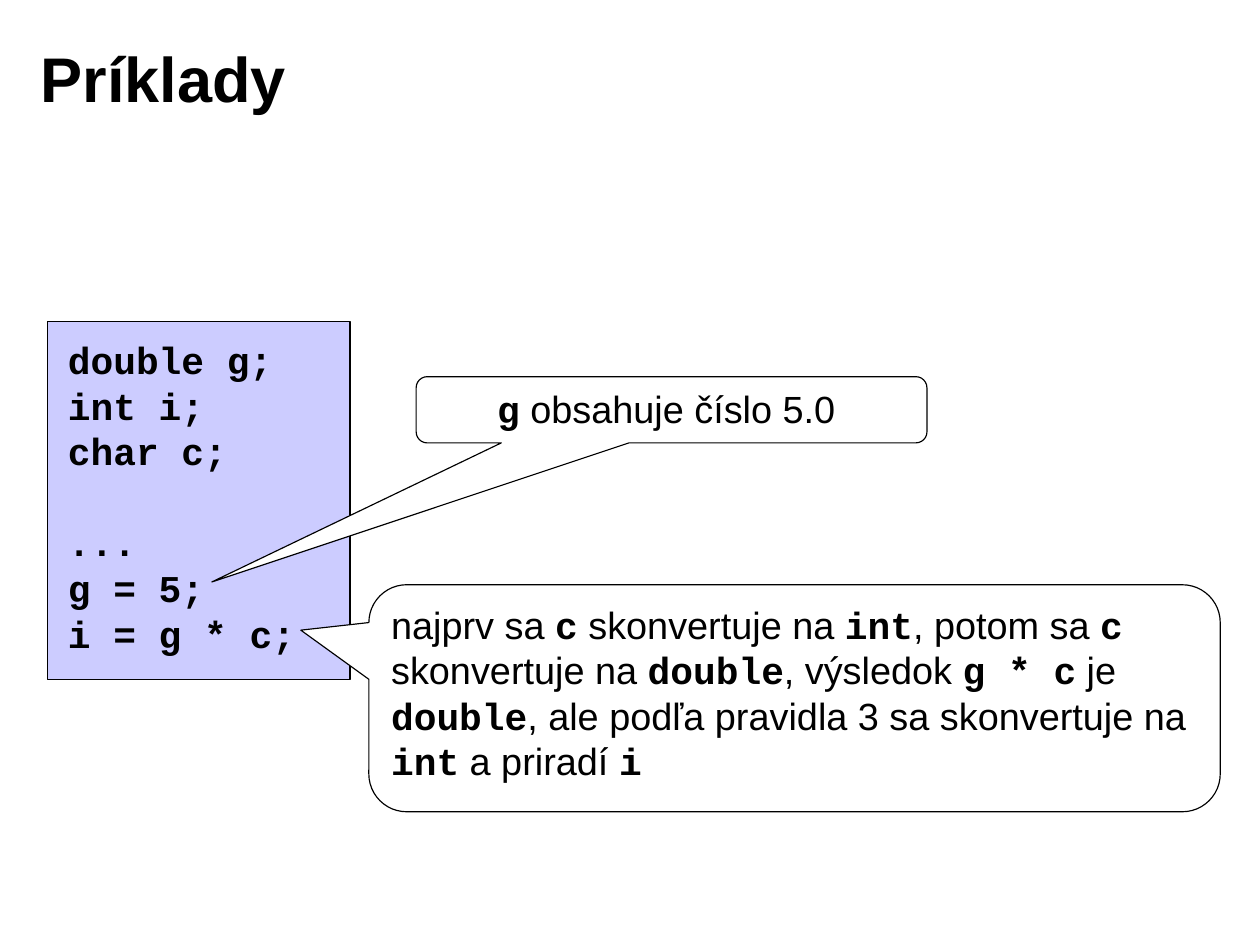
from pptx import Presentation
from pptx.dml.color import RGBColor
from pptx.enum.shapes import MSO_SHAPE
from pptx.enum.text import MSO_ANCHOR, PP_ALIGN
from pptx.util import Pt

RECTANGLE = MSO_SHAPE.RECTANGLE
CALLOUT = MSO_SHAPE.ROUNDED_RECTANGULAR_CALLOUT
TOP, MIDDLE = MSO_ANCHOR.TOP, MSO_ANCHOR.MIDDLE
LEFT, CENTER = PP_ALIGN.LEFT, PP_ALIGN.CENTER

COLORS = {"text": "000000", "line": "000000", "code": "CCCCFF", "callout": "FFFFFF"}
TEXT_FONT, CODE_FONT = "Arial", "Courier New"
CODE_LEADING = 28.9

DECLARATIONS = ["`double g;`", "`int i;`", "`char c;`"]
STATEMENTS = ["`...`", "`g = 5;`", "`i = g * c;`"]
CONVERSION = (
    "najprv sa `c` skonvertuje na `int`, potom sa `c` skonvertuje na `double`, "
    "výsledok `g * c` je `double`, ale podľa pravidla 3 sa skonvertuje na "
    "`int` a priradí `i`"
)


def color(name):
    return RGBColor.from_string(COLORS[name])


def add_text(para, text, size=24, bold=False, align=LEFT, leading=None, before=0):
    para.alignment = align
    para.space_before = Pt(before)
    if leading:
        para.line_spacing = Pt(leading)
    for index, part in enumerate(text.split("`")):
        if not part:
            continue
        is_code = index % 2 == 1
        span = para.add_run()
        span.text = part
        span.font.name = CODE_FONT if is_code else TEXT_FONT
        span.font.size = Pt(size)
        span.font.bold = bold or is_code
        span.font.color.rgb = color("text")


def add_box(page, left, top, width, height, anchor=TOP, wrap=True):
    box = page.shapes.add_textbox(Pt(left), Pt(top), Pt(width), Pt(height))
    box.text_frame.word_wrap = wrap
    box.text_frame.vertical_anchor = anchor
    return box.text_frame


def add_panel(page, kind, left, top, width, height, fill):
    panel = page.shapes.add_shape(kind, Pt(left), Pt(top), Pt(width), Pt(height))
    panel.shadow.inherit = False
    panel.fill.solid()
    panel.fill.fore_color.rgb = color(fill)
    panel.line.color.rgb = color("line")
    panel.line.width = Pt(0.75)
    return panel


def add_title(page, text):
    frame = add_box(page, 18, 12.5, 642, 73.5, anchor=MIDDLE)
    frame.margin_left = frame.margin_right = Pt(8)
    frame.margin_top = frame.margin_bottom = Pt(4)
    add_text(frame.paragraphs[0], text, size=40, bold=True)


def add_code(page):
    add_panel(page, RECTANGLE, 30, 204, 192, 227, "code")
    frame = add_box(page, 36, 210, 160, 211, wrap=False)
    for index, line in enumerate(DECLARATIONS + STATEMENTS):
        para = frame.paragraphs[0] if index == 0 else frame.add_paragraph()
        before = CODE_LEADING if index == len(DECLARATIONS) else 0
        add_text(para, line, leading=CODE_LEADING, before=before)


def add_callout(page, left, top, width, height, tip, text, align=LEFT):
    callout = add_panel(page, CALLOUT, left, top, width, height, "callout")
    callout.adjustments[0], callout.adjustments[1] = tip
    frame = callout.text_frame
    frame.word_wrap = True
    frame.vertical_anchor = TOP
    add_text(frame.paragraphs[0], text, align=align)


def main():
    deck = Presentation()
    deck.slide_width, deck.slide_height = Pt(799.2), Pt(597.6)
    page = deck.slides.add_slide(deck.slide_layouts[6])
    add_title(page, "Príklady")
    add_code(page)
    add_callout(page, 264, 239, 324, 42, (-0.9, 2.6), "`g` obsahuje číslo 5.0 ", align=CENTER)
    add_callout(page, 234, 371, 540, 144, (-0.58, -0.3), CONVERSION)
    deck.save("out.pptx")


if __name__ == "__main__":
    main()
